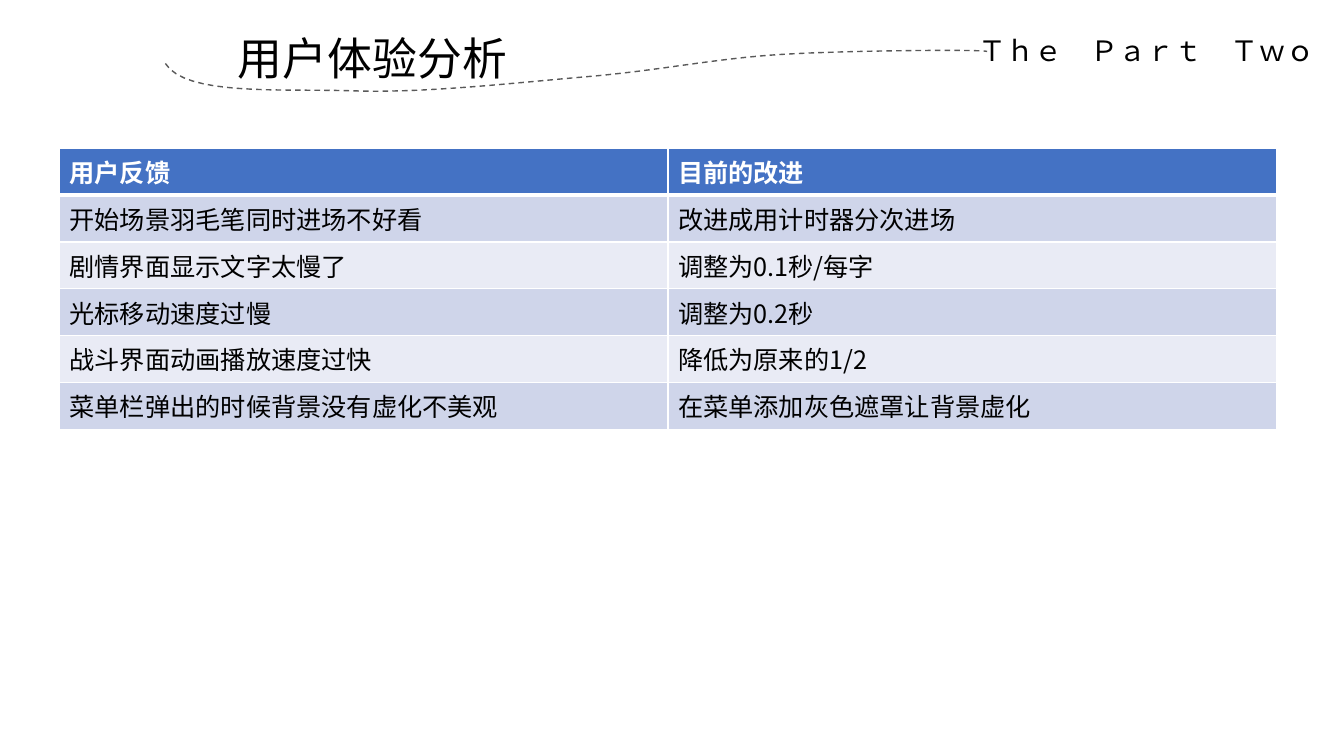
import lxml.etree
import pptx
import pptx.dml.color
import pptx.enum.dml
import pptx.enum.text
import pptx.oxml.ns
import pptx.util

Inches = pptx.util.Inches
Pt = pptx.util.Pt
RGBColor = pptx.dml.color.RGBColor
qn = pptx.oxml.ns.qn

BLACK = RGBColor(0x00, 0x00, 0x00)
WHITE = RGBColor(0xFF, 0xFF, 0xFF)
GRAY = RGBColor(0x59, 0x59, 0x59)
HEADER_BLUE = RGBColor(0x44, 0x72, 0xC4)
BAND_DARK = RGBColor(0xCF, 0xD5, 0xEA)
BAND_LIGHT = RGBColor(0xE9, 0xEB, 0xF5)

TITLE_FONT = "Montserrat"
CHINESE_FONT = "Noto Sans CJK SC"

FEEDBACK = [
    ("用户反馈", "目前的改进"),
    ("开始场景羽毛笔同时进场不好看", "改进成用计时器分次进场"),
    ("剧情界面显示文字太慢了", "调整为0.1秒/每字"),
    ("光标移动速度过慢", "调整为0.2秒"),
    ("战斗界面动画播放速度过快", "降低为原来的1/2"),
    ("菜单栏弹出的时候背景没有虚化不美观", "在菜单添加灰色遮罩让背景虚化"),
]

WAVE_START = (1.64, 0.63)
WAVE_CURVES = [
    ((1.84, 0.95), (2.77, 0.88), (3.47, 0.9)),
    ((4.17, 0.93), (5.12, 0.82), (5.83, 0.76)),
    ((6.54, 0.7), (7.09, 0.58), (7.75, 0.54)),
    ((8.41, 0.5), (9.71, 0.49), (9.79, 0.51)),
]
CURVE_STEPS = 16


def format_run(run, size, font_name, color, bold=False):
    run.font.size = Pt(size)
    run.font.name = font_name
    run.font.bold = bold
    run.font.color.rgb = color
    properties = run.font._element
    lxml.etree.SubElement(properties, qn("a:ea"), typeface=CHINESE_FONT)


def add_heading(slide, text, left, top, width, height, size):
    box = slide.shapes.add_textbox(Inches(left), Inches(top), Inches(width), Inches(height))
    text_frame = box.text_frame
    text_frame.text = text
    text_frame.word_wrap = True
    paragraph = text_frame.paragraphs[0]
    paragraph.alignment = pptx.enum.text.PP_ALIGN.CENTER
    format_run(paragraph.runs[0], size, TITLE_FONT, BLACK)


def curve_point(points, t):
    weights = ((1 - t) ** 3, 3 * t * (1 - t) ** 2, 3 * t**2 * (1 - t), t**3)
    return tuple(
        Inches(sum(weight * point[axis] for weight, point in zip(weights, points)))
        for axis in (0, 1)
    )


def add_wave(slide):
    points = []
    start = WAVE_START
    for curve in WAVE_CURVES:
        controls = (start, *curve)
        points += [curve_point(controls, step / CURVE_STEPS) for step in range(1, CURVE_STEPS + 1)]
        start = curve[-1]
    builder = slide.shapes.build_freeform(Inches(WAVE_START[0]), Inches(WAVE_START[1]))
    builder.add_line_segments(points, close=False)
    wave = builder.convert_to_shape()
    wave.shadow.inherit = False
    wave.fill.background()
    wave.line.color.rgb = GRAY
    wave.line.width = Pt(1)
    wave.line.dash_style = pptx.enum.dml.MSO_LINE.DASH


def set_borders(cell, widths):
    properties = cell._tc.get_or_add_tcPr()
    for side, width in widths.items():
        line = lxml.etree.SubElement(properties, qn(f"a:ln{side}"), w=str(Pt(width)))
        fill = lxml.etree.SubElement(line, qn("a:solidFill"))
        lxml.etree.SubElement(fill, qn("a:srgbClr"), val=str(WHITE))


def row_fill(row):
    if row == 0:
        return HEADER_BLUE
    return BAND_DARK if row % 2 else BAND_LIGHT


def add_feedback_table(slide):
    frame = slide.shapes.add_table(
        len(FEEDBACK), 2, Inches(0.59), Inches(1.47), Inches(12.07), Inches(2.79)
    )
    for row, texts in enumerate(FEEDBACK):
        is_header = row == 0
        for column, text in enumerate(texts):
            cell = frame.table.cell(row, column)
            set_borders(
                cell, {"L": 1, "R": 1, "T": 3 if row == 1 else 1, "B": 3 if is_header else 1}
            )
            cell.fill.solid()
            cell.fill.fore_color.rgb = row_fill(row)
            cell.text_frame.text = text
            run = cell.text_frame.paragraphs[0].runs[0]
            format_run(run, 18, CHINESE_FONT, WHITE if is_header else BLACK, is_header)


def main():
    presentation = pptx.Presentation()
    presentation.slide_width = Inches(13.33)
    presentation.slide_height = Inches(7.5)
    slide = presentation.slides.add_slide(presentation.slide_layouts[6])
    add_heading(slide, "用户体验分析", 1.65, 0.26, 4.09, 0.64, 32)
    add_wave(slide)
    add_heading(slide, "Ｔｈｅ　Ｐａｒｔ　Ｔｗｏ　", 9.39, 0.28, 4.24, 0.44, 20)
    add_feedback_table(slide)
    presentation.save("out.pptx")


if __name__ == "__main__":
    main()
